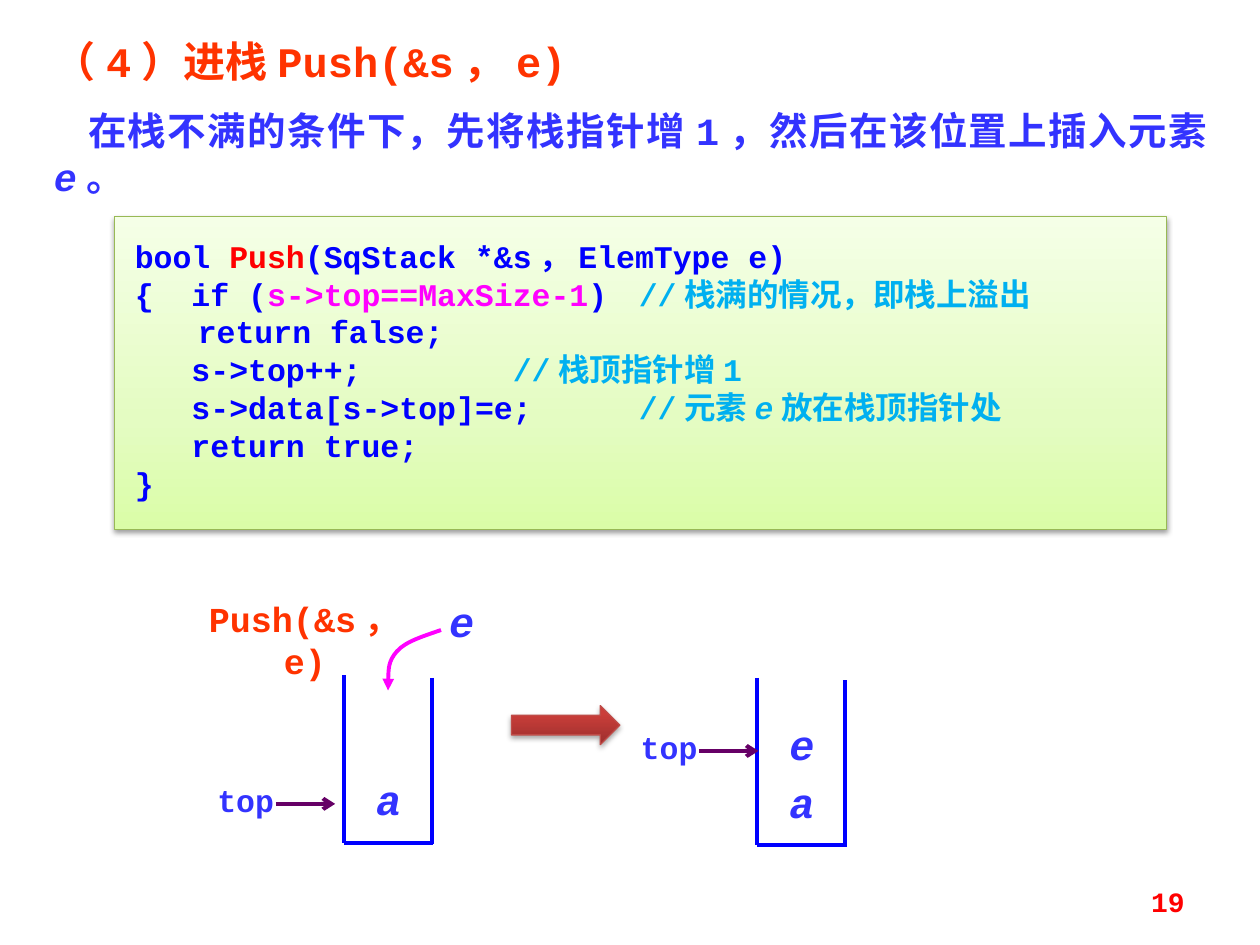
from copy import deepcopy

from pptx import Presentation
from pptx.dml.color import RGBColor
from pptx.enum.shapes import MSO_CONNECTOR as Link, MSO_SHAPE as Shape
from pptx.enum.text import MSO_ANCHOR as Anchor, PP_ALIGN as Align
from pptx.oxml.ns import qn
from pptx.oxml.xmlchemy import OxmlElement as Node
from pptx.util import Inches, Pt

BLUE, NAVY, RED, ORANGE = "3333FF", "0000FF", "FF0000", "FF3300"
PINK, SKY, PLUM = "FF00FF", "00B0F0", "660066"
SLANT = {"italic": True}

CODE = [
    [("bool ", NAVY), ("Push", RED), ("(SqStack *&s，ElemType e)", NAVY)],
    [("{  if (", NAVY), ("s->top==MaxSize-1", PINK), (") \t", NAVY),
     ("//栈满的情况，即栈上溢出", SKY)],
    [("\treturn false;", NAVY)],
    [("   s->top++;\t\t\t", NAVY), ("//栈顶指针增1", SKY)],
    [("   s->data[s->top]=e;\t\t", NAVY), ("//元素", SKY),
     ("e", SKY, SLANT), ("放在栈顶指针处", SKY)],
    [("   return true;", NAVY)],
    [("}", NAVY)],
]


def color(text):
    return RGBColor.from_string(text)


def put(item, values):
    for name, value in values.items():
        setattr(item, name, value)


def write(frame, paras, size, align=Align.LEFT, pad=(0.1, 0.05, 0.1, 0.05),
          anchor=Anchor.TOP):
    """Fill a frame; each paragraph is a list of (text, colour, format)."""
    sides = ("margin_left", "margin_top", "margin_right", "margin_bottom")
    put(frame, dict(zip(sides, map(Inches, pad))))
    put(frame, {"word_wrap": True, "vertical_anchor": anchor})
    for i, runs in enumerate(paras):
        para = frame.add_paragraph() if i else frame.paragraphs[0]
        para.alignment = align
        for words, hue, *more in runs:
            run = para.add_run()
            run.text = words
            put(run.font, {"name": "Courier New", "size": Pt(size),
                           "bold": True, **(more[0] if more else {})})
            run.font.color.rgb = color(hue)


def add_text(slide, box, paras, size, **kind):
    frame = slide.shapes.add_textbox(*map(Inches, box)).text_frame
    write(frame, paras, size, **kind)
    return frame


def label(slide, box, words, size, form=None):
    add_text(slide, box, [[(words, BLUE, form or {})]], size,
             align=Align.CENTER, pad=(0, 0, 0, 0))


def ink(shape, hue, width, head=None):
    shape.line.color.rgb = color(hue)
    shape.line.width = Pt(width)
    if head:
        end = Node("a:tailEnd")
        end.set("type", head)
        shape.line._get_or_add_ln().append(end)


def add_line(slide, x1, y1, x2, y2, hue=NAVY, head=None):
    line = slide.shapes.add_connector(
        Link.STRAIGHT, *map(Inches, (x1, y1, x2, y2)))
    ink(line, hue, 2.25, head)
    line._element.spPr.append(Node("a:effectLst"))


def shade(shape, stops):
    """Upward gradient with three stops."""
    shape.fill.gradient()
    shape.fill.gradient_angle = 90
    stock = shape._element.spPr.find(qn("a:gradFill")).find(qn("a:gsLst"))
    stock.insert(1, deepcopy(stock[0]))
    for stop, (place, hue) in zip(shape.fill.gradient_stops, stops):
        stop.position = place
        stop.color.rgb = color(hue)


def drop(shape, alpha, dist):
    """Soft black shadow below the shape."""
    shape.shadow.inherit = False
    cast = Node("a:outerShdw")
    for name, value in {"blurRad": Pt(3.1), "dist": Pt(dist),
                        "dir": 5400000, "rotWithShape": 0}.items():
        cast.set(name, str(int(value)))
    hue, clear = Node("a:srgbClr"), Node("a:alpha")
    hue.set("val", "000000")
    clear.set("val", str(alpha * 1000))
    hue.append(clear)
    cast.append(hue)
    shape._element.spPr.find(qn("a:effectLst")).append(cast)


def add_block(slide, kind, box, stops, edge, alpha, dist):
    shape = slide.shapes.add_shape(kind, *map(Inches, box))
    shade(shape, stops)
    ink(shape, edge, 0.75)
    drop(shape, alpha, dist)
    return shape


def add_curve(slide, points, hue):
    """Chain of Bezier arcs: a start, then three points for each arc."""
    spots = [tuple(map(Inches, spot)) for spot in points]
    pen = slide.shapes.build_freeform(*spots[0])
    pen.add_line_segments(spots[1:], close=False)
    shape = pen.convert_to_shape()
    shape.fill.background()
    shape.shadow.inherit = False
    ink(shape, hue, 2.25, "triangle")
    route = next(shape._element.iter(qn("a:path")))
    legs = route.findall(qn("a:lnTo"))
    for i in range(0, len(legs), 3):
        arc = Node("a:cubicBezTo")
        for leg in legs[i:i + 3]:
            arc.append(leg[0])
            route.remove(leg)
        route.append(arc)


def add_stack(slide, x, y, cells, mark):
    """Open stack with its cells (letter, top) and the top pointer at mark."""
    base = y + 1.33
    add_line(slide, x, y, x, base)
    add_line(slide, x, base, x + 0.71, base)
    add_line(slide, x + 0.7, y + 0.02, x + 0.7, base + 0.01)
    for words, top in cells:
        label(slide, (x + 0.04, top, 0.63, 0.4), words, 24, SLANT)
    tip, mid = mark
    add_line(slide, tip - 0.47, mid, tip, mid, PLUM, "arrow")
    label(slide, (tip - 1.18, mid - 0.18, 0.94, 0.3), "top", 18)


def main():
    deck = Presentation()
    put(deck, {"slide_width": Inches(10), "slide_height": Inches(7.5)})
    slide = deck.slides.add_slide(deck.slide_layouts[6])

    intro = add_text(slide, (0.33, 0.23, 9.42, 1.11), [
        [("（4）进栈Push(&s，e)", ORANGE)],
        [("在栈不满的条件下，先将栈指针增1，然后在该位置上插入元素", BLUE),
         ("e", BLUE, SLANT), ("。", BLUE)],
    ], 24, align=Align.JUSTIFY)
    body = intro.paragraphs[1]
    body.space_before = Pt(12)
    body._p.get_or_add_pPr().set("indent", str(Inches(0.27)))
    for run in body.runs:
        run.font.size = Pt(22)

    code = add_block(slide, Shape.RECTANGLE, (0.91, 1.72, 8.35, 2.48),
                     [(0, "DAFDA7"), (0.35, "E4FCC2"), (1, "F5FFE7")],
                     "98B955", 38, 1.6)
    write(code.text_frame, CODE, 18, pad=(0.16, 0.16, 0.1, 0.2))

    add_stack(slide, 2.73, 5.36, [("a", 6.14)], (2.66, 6.38))
    label(slide, (3.35, 4.73, 0.63, 0.4), "e", 24, SLANT)
    add_curve(slide, [(3.5, 5), (3.36, 5.05), (3.22, 5.09), (3.15, 5.17),
                      (3.08, 5.25), (3.08, 5.36), (3.08, 5.48)], PINK)
    add_block(slide, Shape.RIGHT_ARROW, (4.06, 5.6, 0.86, 0.31),
              [(0, "9C2F2D"), (0.8, "CB3E3A"), (1, "CE3B37")],
              "BF4C48", 35, 1.8)
    add_stack(slide, 6.01, 5.38, [("e", 5.7), ("a", 6.16)], (6.02, 5.96))
    add_text(slide, (1.56, 4.69, 1.72, 0.44), [[("Push(&s，e)", ORANGE)]],
             20, align=Align.CENTER)
    add_text(slide, (7.17, 6.95, 2.33, 0.4), [[("19", RED)]], 16,
             align=Align.RIGHT, anchor=Anchor.MIDDLE)
    deck.save("out.pptx")


if __name__ == "__main__":
    main()
